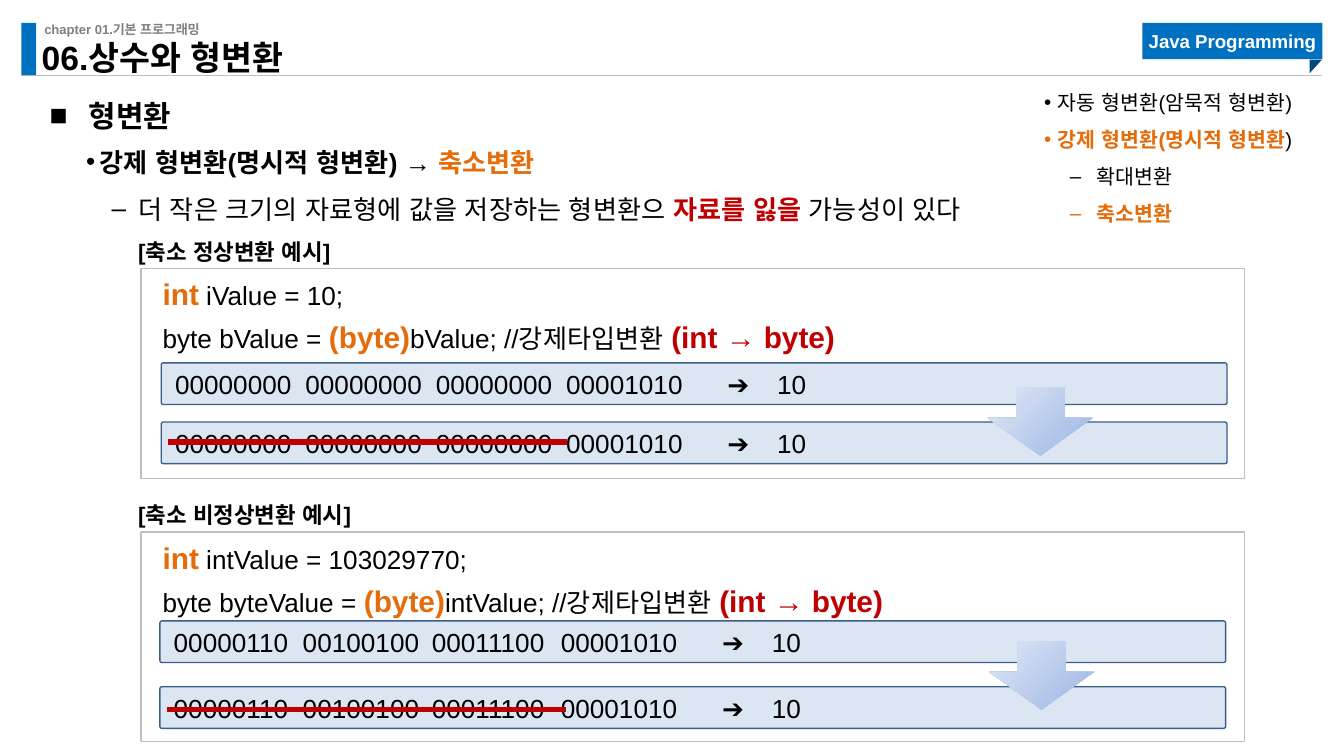
"""Builds a lesson slide on narrowing type conversion in Java."""
from dataclasses import dataclass

from lxml import etree
from pptx import Presentation
from pptx import util as u
from pptx.dml.color import RGBColor
from pptx.enum import shapes, text
from pptx.oxml import ns

BLACK = RGBColor(0x00, 0x00, 0x00)
WHITE = RGBColor(0xFF, 0xFF, 0xFF)
GRAY = RGBColor(0x80, 0x80, 0x80)
SILVER = RGBColor(0xBF, 0xBF, 0xBF)
BLUE = RGBColor(0x00, 0x70, 0xC0)
NAVY = RGBColor(0x00, 0x4A, 0x82)
ORANGE = RGBColor(0xE4, 0x6C, 0x0A)
RED = RGBColor(0xC0, 0x00, 0x00)
PALE = RGBColor(0xDC, 0xE6, 0xF2)
STEEL = RGBColor(0x3A, 0x5F, 0x8C)
ARROW_DARK = RGBColor(0x9A, 0xB5, 0xE4)
ARROW_LIGHT = RGBColor(0xE1, 0xE8, 0xF5)
FONT = "Arial"
SHAPE = shapes.MSO_SHAPE
MIDDLE = text.MSO_ANCHOR.MIDDLE
LIST_INSETS = (0, 0.05, 0.1, 0.05)


@dataclass
class Span:
    words: str
    size: float = 14
    color: RGBColor = BLACK
    bold: bool = False
    struck: bool = False


@dataclass
class Example:
    caption: str
    top: float
    declaration: list[Span]
    cast: list[Span]
    number: list[str]
    pitch: float
    bits_left: float
    bits_tops: tuple[float, float]
    arrow_at: tuple[float, float]
    strike_y: float
    struck: bool


def add_child(parent, tag: str, **attributes: str):
    return etree.SubElement(parent, ns.qn(tag), **attributes)


def write(frame, spans: list[Span], *, level=0, left=0.0, hanging=0.0, spacing=1.0,
          bullet="", tabs=(), align=text.PP_ALIGN.LEFT) -> None:
    para = frame.paragraphs[0]
    if para.runs:
        para = frame.add_paragraph()
    para.level, para.alignment = level, align
    para.line_spacing, para.space_before = spacing, u.Pt(0)
    properties = para._p.get_or_add_pPr()
    properties.set("marL", str(u.Inches(left)))
    if hanging:
        properties.set("indent", str(u.Inches(-hanging)))
    if bullet:
        add_child(properties, "a:buFont", typeface=FONT)
        add_child(properties, "a:buChar", char=bullet)
    else:
        add_child(properties, "a:buNone")
    if tabs:
        stops = add_child(properties, "a:tabLst")
        for stop in tabs:
            add_child(stops, "a:tab", pos=str(u.Inches(stop)), algn="l")
    for span in spans:
        run = para.add_run()
        run.text = span.words
        run.font.name, run.font.size, run.font.bold = FONT, u.Pt(span.size), span.bold
        run.font.color.rgb = span.color
        details = run._r.get_or_add_rPr()
        add_child(details, "a:ea", typeface=FONT)
        if span.struck:
            details.set("strike", "sngStrike")


def place(box, at: tuple) -> None:
    box.left, box.top, box.width, box.height = map(u.Inches, at)


def set_frame(box, insets=(0.1, 0.05, 0.1, 0.05), anchor=text.MSO_ANCHOR.TOP):
    frame = box.text_frame
    frame.word_wrap, frame.auto_size = True, text.MSO_AUTO_SIZE.NONE
    frame.vertical_anchor = anchor
    frame.margin_left, frame.margin_top, frame.margin_right, frame.margin_bottom = map(u.Inches, insets)
    return frame


def add_text(page, at: tuple, insets=(0.1, 0.05, 0.1, 0.05)):
    return set_frame(page.shapes.add_textbox(*map(u.Inches, at)), insets)


def add_box(page, kind, at: tuple, *, fill=None, line=None):
    box = page.shapes.add_shape(kind, *map(u.Inches, at))
    box.shadow.inherit = False
    if fill is None:
        box.fill.background()
    else:
        box.fill.solid()
        box.fill.fore_color.rgb = fill
    if line is None:
        box.line.fill.background()
    else:
        box.line.color.rgb, box.line.width = line, u.Pt(0.75)
    return box


def add_line(page, start: tuple, end: tuple, color: RGBColor, width: float) -> None:
    line = page.shapes.add_connector(shapes.MSO_CONNECTOR.STRAIGHT, *map(u.Inches, start + end))
    line.line.color.rgb, line.line.width = color, u.Pt(width)
    add_child(line._element.spPr, "a:effectLst")


def add_bits(page, example: Example, top: float, struck: bool) -> None:
    box = add_box(page, SHAPE.ROUNDED_RECTANGLE, (example.bits_left, top, 7.93, 0.31), fill=PALE, line=STEEL)
    box.adjustments[0] = 0.05
    spans = []
    for byte in example.number[:3]:
        spans += [Span(byte, struck=struck), Span("\t")]
    spans.append(Span(f"{example.number[3]}\t➔\t10"))
    pitch = example.pitch
    tabs = (pitch, 2 * pitch, 3 * pitch, 3 * pitch + 1.2, 3 * pitch + 1.57)
    write(set_frame(box, anchor=MIDDLE), spans, level=1, tabs=tabs)


def add_arrow(page, at: tuple[float, float]) -> None:
    arrow = add_box(page, SHAPE.DOWN_ARROW, at + (0.78, 0.51))
    arrow.adjustments[0], arrow.adjustments[1] = 0.46, 0.55
    arrow.fill.gradient()
    arrow.fill.gradient_angle = 135
    for stop, color in zip(arrow.fill.gradient_stops, (ARROW_DARK, ARROW_LIGHT)):
        stop.color.rgb = color


def add_example(page, example: Example) -> None:
    caption = add_text(page, (0.93, example.top - 0.28, 2.38, 0.3))
    write(caption, [Span(example.caption, 12, bold=True)])
    panel = add_box(page, SHAPE.RECTANGLE, (1.05, example.top, 8.21, 1.56), line=SILVER)
    code = set_frame(panel, (0.16, 0, 0.16, 0))
    for spans in (example.declaration, example.cast):
        write(code, spans, level=1, spacing=1.2)
    for top, struck in zip(example.bits_tops, (False, example.struck)):
        add_bits(page, example, top, struck)
    left = example.bits_left + 0.05
    add_line(page, (left, example.strike_y), (left + 2.97, example.strike_y), RED, 3)
    add_arrow(page, example.arrow_at)


def add_header(page) -> None:
    add_line(page, (0.16, 0.56), (9.84, 0.56), SILVER, 0.5)
    add_box(page, SHAPE.RECTANGLE, (0.16, 0.17, 0.11, 0.39), fill=BLUE)
    chapter = add_text(page, (0.33, 0.16, 3.23, 0.12), (0, 0, 0, 0))
    write(chapter, [Span("chapter 01.기본 프로그래밍", 7, GRAY, True)])
    badge = add_box(page, SHAPE.RECTANGLE, (8.5, 0.17, 1.34, 0.27), fill=BLUE)
    write(set_frame(badge, (0, 0, 0, 0), MIDDLE), [Span("Java Programming", 10, WHITE, True)],
          align=text.PP_ALIGN.CENTER)
    add_box(page, SHAPE.RIGHT_TRIANGLE, (9.74, 0.45, 0.1, 0.09), fill=NAVY).rotation = 90
    title, body = page.placeholders
    place(title, (0.31, 0.35, 3.3, 0.23))
    write(set_frame(title, (0, 0, 0, 0), text.MSO_ANCHOR.BOTTOM),
          [Span("06.상수와 형변환", 18, bold=True)], spacing=0.9)
    place(body, (0.37, 0.59, 9.54, 0.33))
    write(set_frame(body, (0, 0, 0, 0)), [Span("형변환", 16, bold=True)],
          left=0.29, hanging=0.29, spacing=1.5, bullet="■")


def main() -> None:
    deck = Presentation()
    deck.slide_width = u.Inches(10)
    deck.slide_height = deck.slide_width * 9 // 16
    page = deck.slides.add_slide(deck.slide_layouts[1])
    add_header(page)
    point = dict(level=1, left=0.4, hanging=0.1, spacing=1.5, bullet="•")
    detail = dict(level=2, left=0.69, hanging=0.2, spacing=1.5, bullet="–")
    summary = add_text(page, (0.34, 0.92, 9.35, 0.47), LIST_INSETS)
    write(summary, [Span("강제 형변환(명시적 형변환) → ", bold=True),
                    Span("축소변환", color=ORANGE, bold=True)], **point)
    write(summary, [Span("더 작은 크기의 자료형에 값을 저장하는 형변환으 "),
                    Span("자료를 잃을", color=RED, bold=True), Span(" 가능성이 있다")], **detail)
    outline = add_text(page, (7.47, 0.53, 2.43, 1.18), LIST_INSETS)
    write(outline, [Span("자동 형변환(암묵적 형변환)", 11)], **point)
    write(outline, [Span("강제 형변환(명시적 형변환", 11, ORANGE, True), Span(")", 11)], **point)
    write(outline, [Span("확대변환", 11)], **detail)
    write(outline, [Span("축소변환", 11, ORANGE, True)], **detail)
    cast, change = Span("(byte)", 16, ORANGE, True), Span("(int → byte)", 16, RED, True)
    keyword = Span("int", 16, ORANGE, True)
    add_example(page, Example(
        "[축소 정상변환 예시]", 2, [keyword, Span(" iValue = 10;")],
        [Span("byte bValue = "), cast, Span("bValue; //강제타입변환 "), change],
        ["00000000"] * 3 + ["00001010"], 0.97, 1.2, (2.7, 3.14), (7.35, 2.88), 3.29, False))
    add_example(page, Example(
        "[축소 비정상변환 예시]", 3.96, [keyword, Span(" intValue = 103029770;")],
        [Span("byte byteValue = "), cast, Span("intValue; //강제타입변환 "), change],
        ["00000110", "00100100", "00011100", "00001010"], 0.96, 1.19, (4.62, 5.11), (7.36, 4.77), 5.28, True))
    deck.save("out.pptx")


if __name__ == "__main__":
    main()
